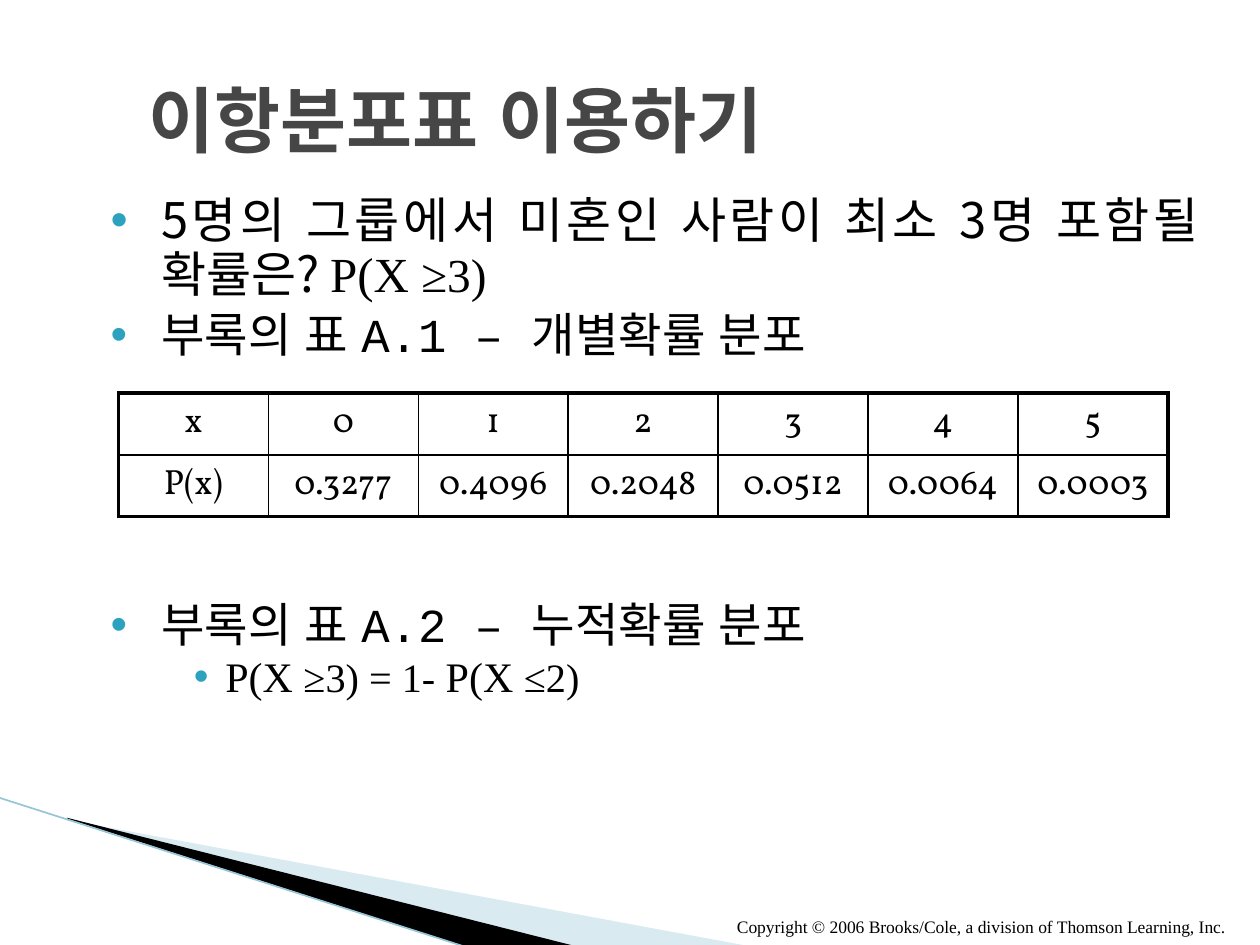
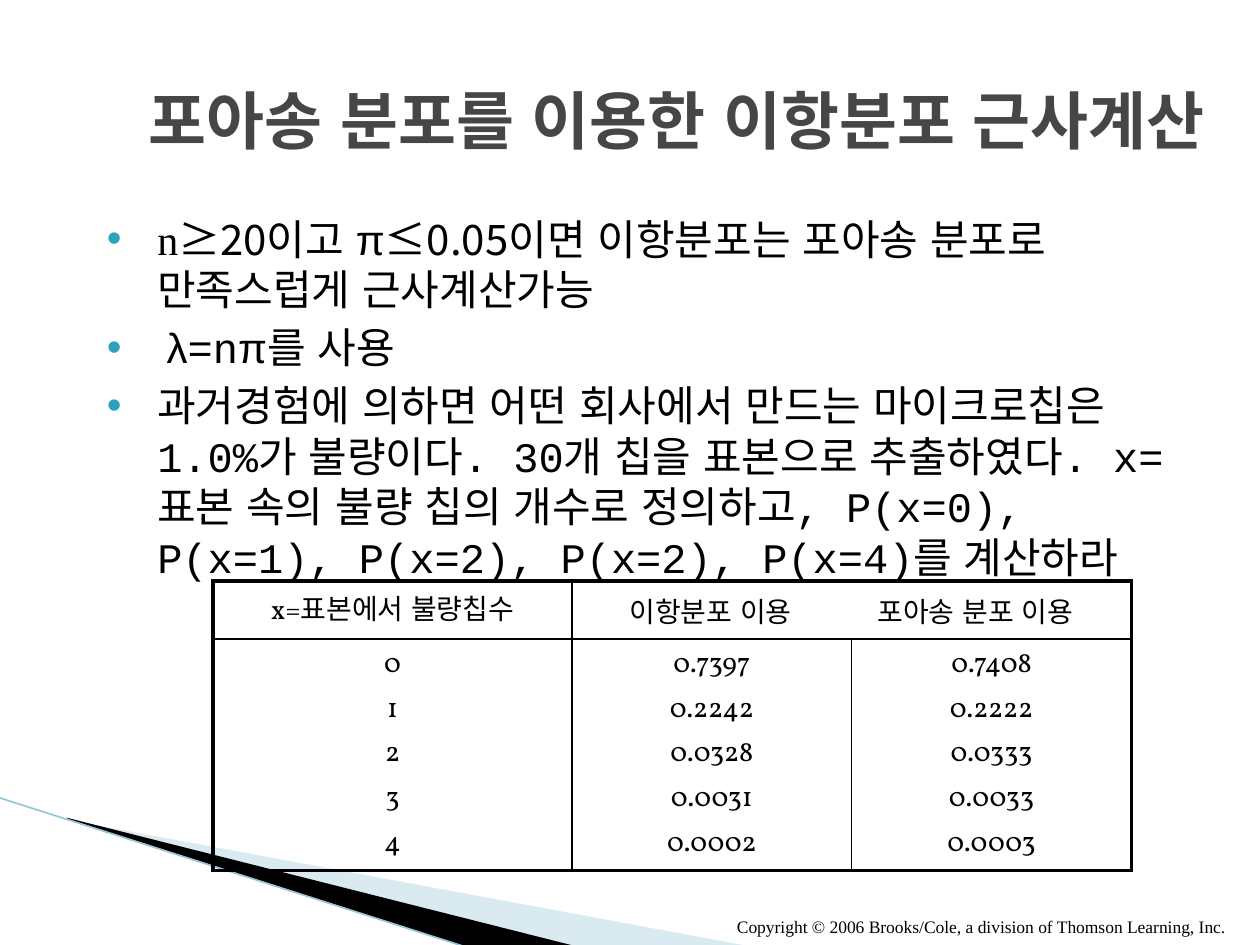
from lxml import etree
from pptx import Presentation
from pptx.dml.color import RGBColor
from pptx.enum.shapes import MSO_CONNECTOR
from pptx.enum.text import MSO_ANCHOR, PP_ALIGN
from pptx.oxml.ns import qn
from pptx.util import Inches, Pt

LEFT, CENTER, JUSTIFY = PP_ALIGN.LEFT, PP_ALIGN.CENTER, PP_ALIGN.JUSTIFY
MIDDLE = MSO_ANCHOR.MIDDLE
STRAIGHT = MSO_CONNECTOR.STRAIGHT

COLORS = {"text": "000000", "title": "464646", "bullet": "2DA2BF",
          "pale": "A0CBDC", "dark": "000000", "edge": "97C5D8"}
NOTO, TIMES, MONO = "Noto Sans CJK KR", "Times New Roman", "Courier New"
ARIAL, SERIF = "Arial", "Vollkorn"

FOOTER = "Copyright © 2006 Brooks/Cole, a division of Thomson Learning, Inc."
BANDS = [  # outline, colour, opacity in percent
    ([(0.55, 6.51), (5.95, 7.51), (4.56, 7.51), (0.55, 6.5)], "pale", 40),
    ([(0.53, 6.49), (4.57, 7.51), (3.72, 7.52), (0.54, 6.5)], "dark", 100),
]
EDGE = (-0.01, 6.33, 3.71, 7.52)

# A run is (text, font, size); a paragraph has a level, a gap before and runs.
SLIDES = [
    {
        "title": ("이항분포표 이용하기", 41),
        "body": {
            "at": (0.78, 1.5, 8.83, 5.09), "align": JUSTIFY, "pitch": (30.5, 25),
            "paras": [
                (0, 0, [("5명의 그룹에서 미혼인 사람이 최소 3명 포함될 확률은? ", NOTO, 28),
                        ("P(X ", TIMES, 28), ("≥3)", TIMES, 27)]),
                (0, 4, [("부록의 표 A.1 – 개별확률 분포", MONO, 27)]),
                (0, 135, [("부록의 표 A.2 – 누적확률 분포", MONO, 27)]),
                (1, 3.2, [("P(X ", TIMES, 24), ("≥3) = 1- ", TIMES, 23),
                          ("P(X ", TIMES, 24), ("≤2)", TIMES, 23)]),
            ],
        },
        "table": {
            "at": (0.94, 3.12), "size": 20, "cols": [1.19] * 7, "rows": [0.49] * 2,
            "cells": [["x", "0", "1", "2", "3", "4", "5"],
                      ["P(x)", "0.3277", "0.4096", "0.2048", "0.0512", "0.0064",
                       "0.0003"]],
        },
    },
    {
        "title": ("포아송 분포를 이용한 이항분포 근사계산", 36),
        "body": {
            "at": (0.75, 1.64, 8.83, 5.09), "align": LEFT, "pitch": (29,),
            "paras": [
                (0, 0, [("n", TIMES, 24), ("≥20이고 ", NOTO, 24), ("π", ARIAL, 24),
                        ("≤0.05이면 이항분포는 포아송 분포로 만족스럽게 근사계산가능", NOTO, 24)]),
                (0, 4, [(" ", NOTO, 24), ("λ", ARIAL, 24), ("=n", MONO, 24),
                        ("π", ARIAL, 24), ("를 사용", MONO, 24)]),
                (0, 4, [("과거경험에 의하면 어떤 회사에서 만드는 마이크로칩은 1.0%가 "
                         "불량이다. 30개 칩을 표본으로 추출하였다. x=표본 속의 불량 칩의 "
                         "개수로 정의하고, P(x=0), P(x=1), P(x=2), P(x=2), P(x=4)를 "
                         "계산하라", MONO, 24)]),
            ],
        },
        "table": {
            "at": (1.69, 4.61), "size": 16, "cols": [2.85, 2.22, 2.22],
            "rows": [0.46, 1.84], "merge": ((0, 1), (0, 2)), "tabs": (1.0, 3.1),
            "cells": [["x=표본에서 불량칩수", "\t이항분포 이용\t포아송 분포 이용", ""],
                      ["0\n1\n2\n3\n4",
                       "0.7397\n0.2242\n0.0328\n0.0031\n0.0002",
                       "0.7408\n0.2222\n0.0333\n0.0033\n0.0003"]],
        },
    },
]


def rgb(name):
    return RGBColor.from_string(COLORS[name])


def box(at):
    return [Inches(v) for v in at]


def add_run(para, text, face, size, color="text", bold=False):
    run = para.add_run()
    run.text = text
    font = run.font
    font.name, font.size, font.bold = face, Pt(size), bold
    font.color.rgb = rgb(color)
    props = run._r.get_or_add_rPr()
    props.set("lang", "ko-KR")
    latin = props.find(qn("a:latin"))
    asian = etree.Element(qn("a:ea"), typeface=NOTO)
    latin.addnext(asian)


def add_bullet(para, level):
    left, hang = [(0.4, 0.4), (0.91, 0.25)][level]
    props = para._p.get_or_add_pPr()
    props.set("marL", str(Inches(left)))
    props.set("indent", str(-Inches(hang)))
    tint = etree.SubElement(props, qn("a:buClr"))
    etree.SubElement(tint, qn("a:srgbClr"), val=COLORS["bullet"])
    etree.SubElement(props, qn("a:buFont"), typeface=ARIAL)
    etree.SubElement(props, qn("a:buChar"), char="•")


def add_frame(slide):
    """Draw the corner bands and the footer."""
    for points, color, alpha in BANDS:
        first, *rest = [box(p) for p in points]
        pen = slide.shapes.build_freeform(*first)
        pen.add_line_segments(rest, close=True)
        band = pen.convert_to_shape()
        band.shadow.inherit = False
        band.fill.solid()
        band.fill.fore_color.rgb = rgb(color)
        band.line.fill.background()
        if alpha < 100:
            tint = band.fill._xPr.find(".//" + qn("a:srgbClr"))
            etree.SubElement(tint, qn("a:alpha"), val=str(alpha * 1000))
    edge = slide.shapes.add_connector(STRAIGHT, *box(EDGE))
    edge.line.color.rgb = rgb("edge")
    edge.line.width = Pt(0.95)
    etree.SubElement(edge._element.spPr, qn("a:effectLst"))
    foot = slide.shapes.add_textbox(*box((5.75, 7.22, 4.25, 0.28))).text_frame
    foot.word_wrap = True
    add_run(foot.paragraphs[0], FOOTER, TIMES, 10)


def set_title(slide, text, size):
    title = slide.shapes.title
    title.left, title.top, title.width, title.height = box((1.08, 0.3, 8.92, 1.29))
    frame = title.text_frame
    frame.vertical_anchor = MIDDLE
    para = frame.paragraphs[0]
    para.alignment = LEFT
    add_run(para, text, MONO, size, "title", True)


def add_body(slide, at, align, pitch, paras):
    frame = slide.shapes.add_textbox(*box(at)).text_frame
    frame.word_wrap = True
    for i, (level, gap, runs) in enumerate(paras):
        para = frame.add_paragraph() if i else frame.paragraphs[0]
        para.alignment, para.level = align, level
        para.line_spacing, para.space_before = Pt(pitch[level]), Pt(gap)
        add_bullet(para, level)
        for run in runs:
            add_run(para, *run)


def set_borders(cell, outer):
    """Give the sides named in outer a thick line and the others a thin one."""
    props = cell._tc.get_or_add_tcPr()
    for i, side in enumerate("LRTB"):
        width = Pt(2.25 if side in outer else 1)
        line = etree.Element(qn("a:ln" + side), w=str(width))
        fill = etree.SubElement(line, qn("a:solidFill"))
        etree.SubElement(fill, qn("a:srgbClr"), val=COLORS["text"])
        props.insert(i, line)


def fill_cell(cell, text, size, tabs):
    cell.fill.background()
    cell.vertical_anchor = MIDDLE
    frame = cell.text_frame
    for i, line in enumerate(text.split("\n")):
        para = frame.add_paragraph() if i else frame.paragraphs[0]
        para.alignment = CENTER
        para.space_before = Pt(size * 0.2 if i else 0)
        if "\t" in line:
            para.alignment = LEFT
            stops = etree.SubElement(para._p.get_or_add_pPr(), qn("a:tabLst"))
            for tab in tabs:
                etree.SubElement(stops, qn("a:tab"), pos=str(Inches(tab)), algn="ctr")
        add_run(para, line, SERIF, size)


def add_grid(slide, at, size, cols, rows, cells, merge=None, tabs=()):
    area = box((*at, sum(cols), sum(rows)))
    grid = slide.shapes.add_table(len(rows), len(cols), *area).table
    grid.first_row = grid.horz_banding = False
    for col, width in zip(grid.columns, cols):
        col.width = Inches(width)
    for row, height in zip(grid.rows, rows):
        row.height = Inches(height)
    if merge:
        start, end = merge
        grid.cell(*start).merge(grid.cell(*end))
    for r, texts in enumerate(cells):
        for c, text in enumerate(texts):
            cell = grid.cell(r, c)
            if cell.is_spanned:
                continue
            fill_cell(cell, text, size, tabs)
            last = c + cell.span_width if cell.is_merge_origin else c + 1
            sides = {"L": c == 0, "R": last == len(cols),
                     "T": r == 0, "B": r == len(rows) - 1}
            set_borders(cell, [s for s, outer in sides.items() if outer])


def main():
    deck = Presentation()
    deck.slide_width, deck.slide_height = Inches(10), Inches(7.5)
    for item in SLIDES:
        slide = deck.slides.add_slide(deck.slide_layouts[5])
        add_frame(slide)
        set_title(slide, *item["title"])
        add_body(slide, **item["body"])
        add_grid(slide, **item["table"])
    deck.save("out.pptx")


if __name__ == "__main__":
    main()
